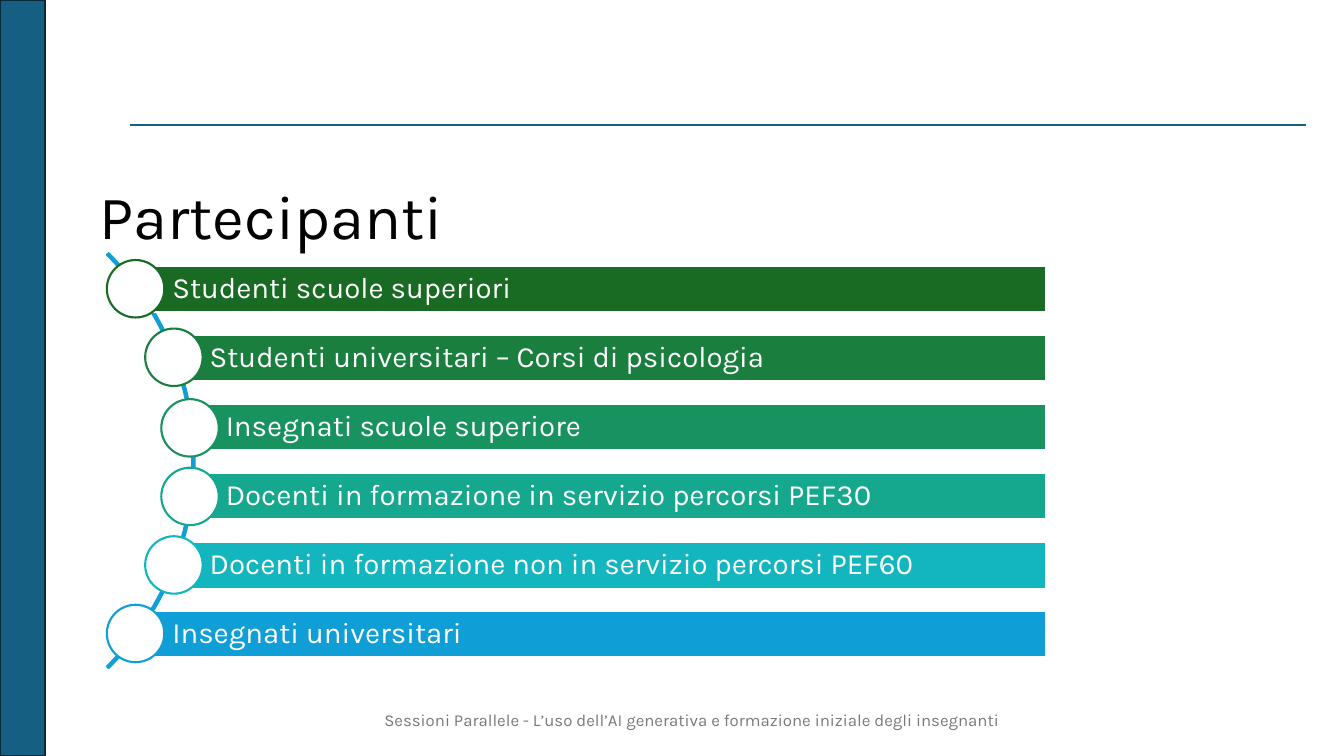
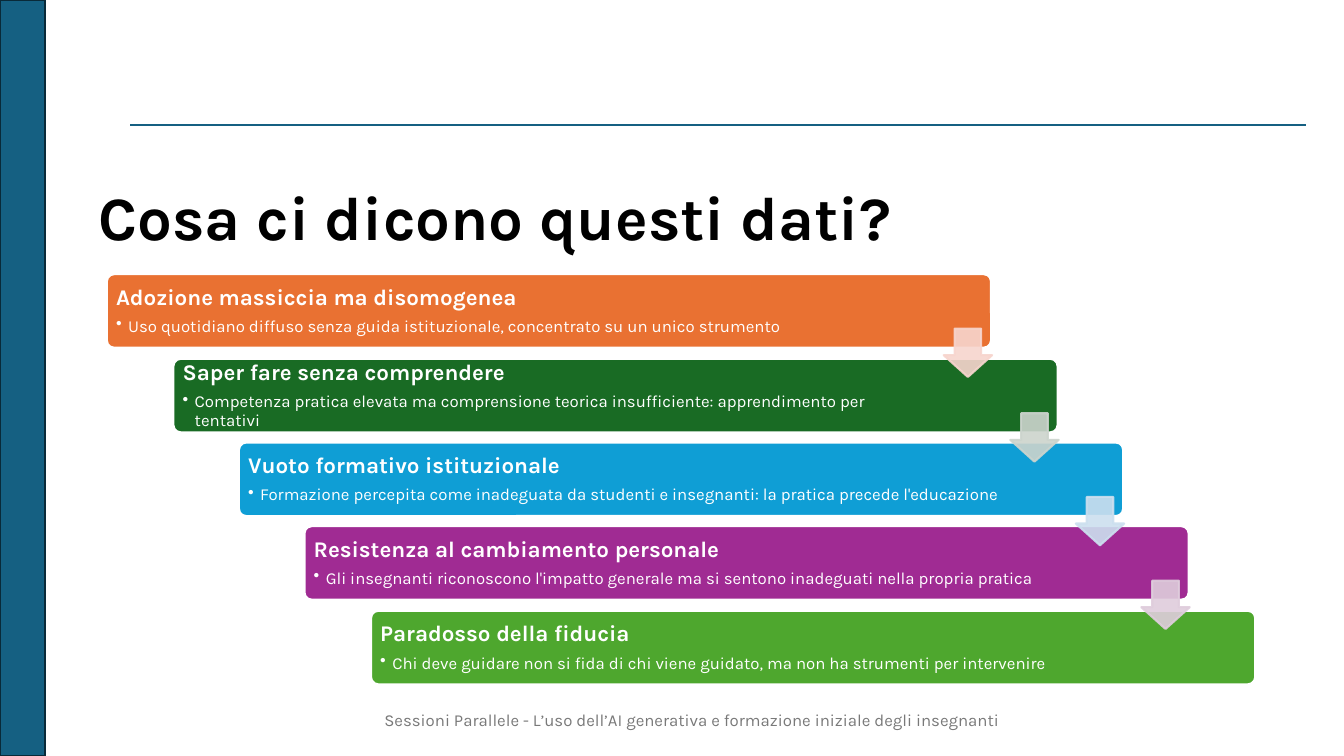
from dataclasses import dataclass
from math import sqrt

from lxml import etree
from pptx import Presentation
from pptx import util as u
from pptx.dml.color import RGBColor
from pptx.enum import shapes, text
from pptx.oxml.ns import qn

EMU_PER_PX = 9144  # 100 px to the inch
SHAPE = shapes.MSO_SHAPE
MIDDLE = text.MSO_ANCHOR.MIDDLE
FOOTER = "Sessioni Parallele - L’uso dell’AI generativa e formazione iniziale degli insegnanti"


@dataclass(frozen=True)
class Theme:
    font: str = "Karla"
    ink: str = "000000"
    paper: str = "FFFFFF"
    muted: str = "797979"
    accent: str = "156082"
    accent_edge: str = "092A39"
    blue: str = "0F9ED5"
    participants: tuple = ("196B24", "197E3E", "189360", "16A88E", "13B6BE", "0F9ED5")
    findings: tuple = ("E97132", "196B24", "0F9ED5", "A02B93", "4EA72E")
    arrows: tuple = ("F7D5CE", "CCD4CD", "CCDFEF", "DFCDDC")
    title_size: int = 44
    bar_size: int = 21
    heading_size: int = 16
    small_size: int = 12
    stroke: float = 1.5


def px(*lengths):
    return [u.Emu(round(length) * EMU_PER_PX) for length in lengths]


class Deck:
    def __init__(self, theme):
        self.theme = theme
        self.slide = None
        self.file = Presentation()
        self.file.slide_width, self.file.slide_height = px(1333, 750)

    def new_slide(self, title, box, bold=False, spacing=1.0):
        """Start a slide with the shared footer, rule, side band and title."""
        t = self.theme
        self.slide = self.file.slides.add_slide(self.file.slide_layouts[6])
        footer = self.text_box((345, 694, 683, 40), anchor=MIDDLE)
        self.paragraph(footer, FOOTER, t.small_size, t.muted, align=text.PP_ALIGN.CENTER)
        self.rule((129, 124), (1295, 124))
        self.shape(SHAPE.RECTANGLE, (0, 0, 45, 750), t.accent, t.accent_edge)
        self.paragraph(self.text_box(box), title, t.title_size, t.ink, bold, spacing)

    def shape(self, kind, box, fill, line, adjust=(), opacity=None):
        item = self.slide.shapes.add_shape(kind, *px(*box))
        item.shadow.inherit = False
        for index, value in enumerate(adjust):
            item.adjustments[index] = value
        if fill:
            item.fill.solid()
            item.fill.fore_color.rgb = RGBColor.from_string(fill)
        else:
            item.fill.background()
        item.line.color.rgb = RGBColor.from_string(line)
        item.line.width = u.Pt(self.theme.stroke)
        if opacity:
            for colour in item._element.spPr.iter(qn("a:srgbClr")):
                etree.SubElement(colour, qn("a:alpha"), val=str(opacity * 1000))
        return item

    def rule(self, start, end):
        line = self.slide.shapes.add_connector(
            shapes.MSO_CONNECTOR.STRAIGHT, *px(*start, *end))
        line.line.color.rgb = RGBColor.from_string(self.theme.accent)
        line.line.width = u.Pt(self.theme.stroke)
        etree.SubElement(line._element.spPr, qn("a:effectLst"))

    def text_box(self, box, anchor=text.MSO_ANCHOR.TOP):
        return self.frame(self.slide.shapes.add_textbox(*px(*box)), (10, 5, 10, 5), anchor)

    def frame(self, item, insets, anchor=MIDDLE):
        frame = item.text_frame
        frame.word_wrap = True
        frame.vertical_anchor = anchor
        (frame.margin_left, frame.margin_top,
         frame.margin_right, frame.margin_bottom) = px(*insets)
        return frame

    def paragraph(self, frame, words, size, colour, bold=False, spacing=1.0,
                  align=text.PP_ALIGN.LEFT, after=0, bullet=False):
        """Fill the empty first paragraph, or add another one."""
        first = frame.paragraphs[0]
        para = frame.add_paragraph() if first.text else first
        para.text = words
        para.alignment = align
        para.line_spacing = spacing
        para.space_after = u.Pt(after)
        if bullet:
            props = para._p.get_or_add_pPr()
            (indent,) = px(12)
            props.set("marL", str(indent))
            props.set("indent", str(-indent))
            etree.SubElement(props, qn("a:buChar"), char="•")
        font = para.runs[0].font
        font.name = self.theme.font
        font.size = u.Pt(size)
        font.bold = bold
        font.color.rgb = RGBColor.from_string(colour)

    def participant(self, left, top, right, label, colour):
        """A bar with a round node centred on its left end."""
        t = self.theme
        height, node = 46, 57
        bar = self.shape(SHAPE.RECTANGLE, (left, top, right - left, height), colour, t.paper)
        self.paragraph(self.frame(bar, (36, 6, 6, 6)), label, t.bar_size, t.paper, spacing=0.9)
        self.shape(SHAPE.OVAL, (left - node / 2, top + (height - node) / 2, node, node),
                   t.paper, colour)

    def finding(self, left, top, heading, detail, colour):
        t = self.theme
        card = self.shape(SHAPE.ROUNDED_RECTANGLE, (left, top, 877, 73), colour, t.paper, (0.1,))
        frame = self.frame(card, (7, 7, 121, 7))
        self.paragraph(frame, heading, t.heading_size, t.paper, True, 0.9, after=5.6)
        self.paragraph(frame, detail, t.small_size, t.paper, spacing=0.9, bullet=True)

    def step_arrow(self, left, top, colour):
        self.shape(SHAPE.DOWN_ARROW, (left, top, 48, 48), colour, colour, (0.55, 0.45), 90)


PARTICIPANTS = (
    "Studenti scuole superiori",
    "Studenti universitari – Corsi di psicologia",
    "Insegnati scuole superiore",
    "Docenti in formazione in servizio percorsi PEF30",
    "Docenti in formazione non in servizio percorsi PEF60",
    "Insegnati universitari",
)

FINDINGS = (
    ("Adozione massiccia ma disomogenea",
     "Uso quotidiano diffuso senza guida istituzionale, concentrato su un unico strumento"),
    ("Saper fare senza comprendere",
     "Competenza pratica elevata ma comprensione teorica insufficiente: "
     "apprendimento per tentativi"),
    ("Vuoto formativo istituzionale",
     "Formazione percepita come inadeguata da studenti e insegnanti: "
     "la pratica precede l'educazione"),
    ("Resistenza al cambiamento personale",
     "Gli insegnanti riconoscono l'impatto generale ma si sentono inadeguati "
     "nella propria pratica"),
    ("Paradosso della fiducia",
     "Chi deve guidare non si fida di chi viene guidato, ma non ha strumenti per intervenire"),
)


def participants_slide(deck):
    deck.new_slide("Partecipanti", (89, 180, 990, 69), spacing=0.9)
    # Arc from -45 to 45 degrees that carries the nodes
    radius = 291
    deck.shape(SHAPE.BLOCK_ARC, (-389, 166, 2 * radius, 2 * radius), None, deck.theme.blue,
               (189, 27, 0.004))
    # Bars start where their middle line meets the arc
    pitch = 68.4
    for row, (label, colour) in enumerate(zip(PARTICIPANTS, deck.theme.participants)):
        rise = (row - (len(PARTICIPANTS) - 1) / 2) * pitch
        left = int(sqrt(radius ** 2 - rise ** 2)) - 100
        deck.participant(left, round(264 + row * pitch), 1038, label, colour)


def findings_slide(deck):
    deck.new_slide("Cosa ci dicono questi dati?", (88, 173, 1028, 114), bold=True)
    # Staircase of cards, then the arrows on top of them
    stairs = [(106 + 65.5 * step, 272 + 83.5 * step) for step in range(len(FINDINGS))]
    for (left, top), finding, colour in zip(stairs, FINDINGS, deck.theme.findings):
        deck.finding(left, top, *finding, colour)
    for (left, top), colour in zip(stairs, deck.theme.arrows):
        deck.step_arrow(left + 830, top + 54, colour)


def main():
    deck = Deck(Theme())
    participants_slide(deck)
    findings_slide(deck)
    deck.file.save("out.pptx")


if __name__ == "__main__":
    main()
